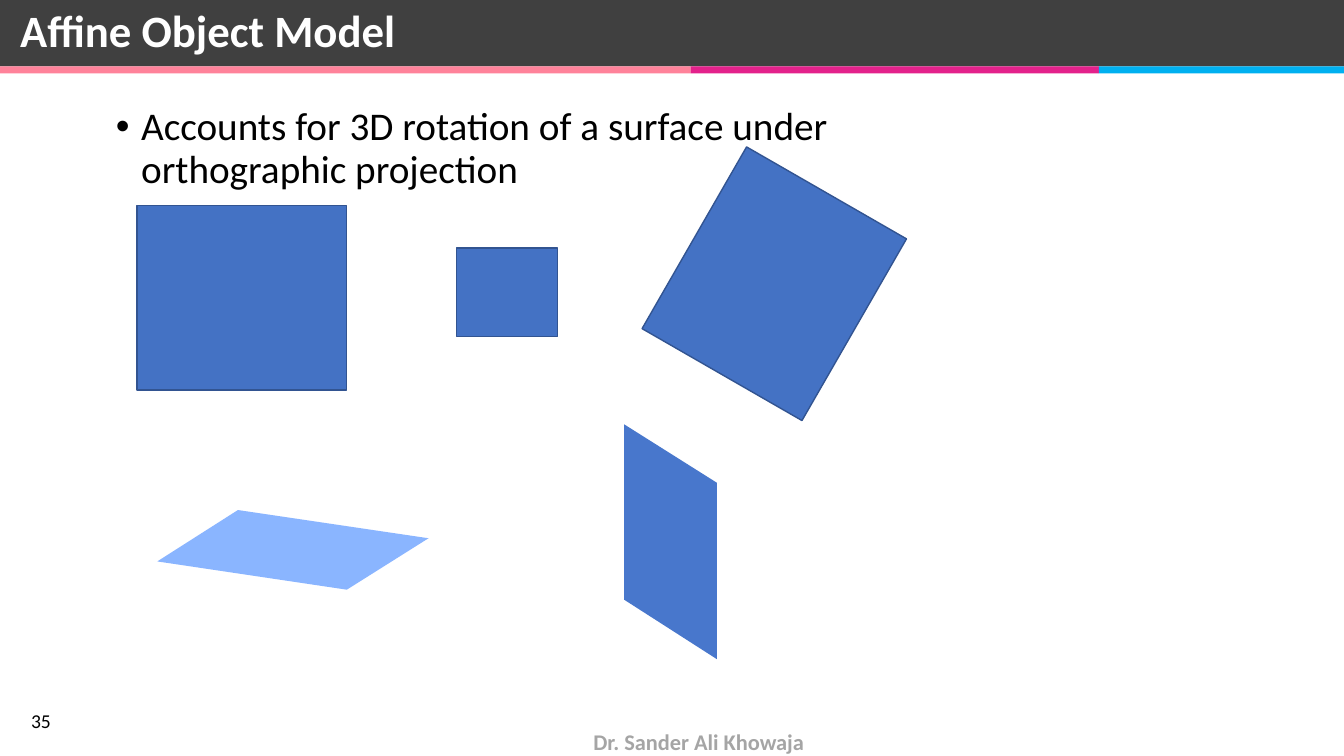
from lxml import etree
from pptx import Presentation
from pptx.dml.color import RGBColor
from pptx.enum.shapes import MSO_SHAPE
from pptx.enum.text import MSO_ANCHOR, MSO_AUTO_SIZE, PP_ALIGN
from pptx.oxml.ns import qn
from pptx.util import Inches, Pt

RECTANGLE = MSO_SHAPE.RECTANGLE
LEFT, CENTER = PP_ALIGN.LEFT, PP_ALIGN.CENTER
TOP, MIDDLE = MSO_ANCHOR.TOP, MSO_ANCHOR.MIDDLE
NO_AUTOFIT = MSO_AUTO_SIZE.NONE

TITLE = "Affine Object Model"
STATEMENT = "Accounts for 3D rotation of a surface under orthographic projection"
AUTHOR = "Dr. Sander Ali Khowaja"
PAGE_NUMBER = "35"

SLIDE_WIDTH, SLIDE_HEIGHT = 13.33, 7.5
HEADER_HEIGHT, STRIPE_HEIGHT = 0.66, 0.07
STRIPES = [(6.85, "FF829A"), (4.05, "E3218B"), (2.43, "00B0F0")]

SURFACE_FILL, SURFACE_LINE = "4472C4", "325491"
SURFACES = [
    (1.36, 2.04, 2.08, 1.83, 0),
    (6.64, 1.9, 2.08, 1.83, 299.9),
    (4.53, 2.46, 1, 0.88, 0),
]
TILTED_SURFACES = [
    ("8AB5FF", [(2.36, 5.06), (4.25, 5.34), (3.44, 5.85), (1.56, 5.57)]),
    ("4877CC", [(6.19, 4.21), (7.11, 4.79), (7.11, 6.54), (6.19, 5.95)]),
]


def color(value):
    return RGBColor.from_string(value)


def place(shape, left, top, width, height):
    shape.left, shape.top = Inches(left), Inches(top)
    shape.width, shape.height = Inches(width), Inches(height)


def paint(shape, fill, line=None):
    shape.shadow.inherit = False
    shape.fill.solid()
    shape.fill.fore_color.rgb = color(fill)
    if line:
        shape.line.color.rgb = color(line)
        shape.line.width = Pt(1)
    else:
        shape.line.fill.background()


def write(box, text, size, ink="000000", bold=False, align=LEFT, anchor=TOP,
          wrap=True, margin=0, indent=0, spacing=1.0, bullet=None):
    frame = box.text_frame
    frame.auto_size = NO_AUTOFIT
    frame.word_wrap = wrap
    frame.vertical_anchor = anchor
    para = frame.paragraphs[0]
    para.alignment = align
    para.line_spacing = spacing
    para.space_before = Pt(0)
    properties = para._p.get_or_add_pPr()
    properties.set("marL", str(Inches(margin)))
    properties.set("indent", str(Inches(indent)))
    if bullet:
        font = etree.SubElement(properties, qn("a:buFont"))
        font.set("typeface", "Arial")
        etree.SubElement(properties, qn("a:buChar")).set("char", bullet)
    span = para.add_run()
    span.text = text
    span.font.name = "Calibri"
    span.font.size = Pt(size)
    span.font.bold = bold
    span.font.color.rgb = color(ink)


def add_rectangle(page, left, top, width, height, fill, line=None):
    shape = page.shapes.add_shape(RECTANGLE, 0, 0, 0, 0)
    place(shape, left, top, width, height)
    paint(shape, fill, line)
    return shape


def add_label(page, left, top, width, height, text, size, **style):
    box = page.shapes.add_textbox(0, 0, 0, 0)
    place(box, left, top, width, height)
    write(box, text, size, **style)


def add_polygon(page, points, fill):
    corners = [(Inches(x), Inches(y)) for x, y in points]
    builder = page.shapes.build_freeform(*corners[0])
    builder.add_line_segments(corners[1:], close=True)
    paint(builder.convert_to_shape(), fill)


def main():
    deck = Presentation()
    deck.slide_width, deck.slide_height = Inches(SLIDE_WIDTH), Inches(SLIDE_HEIGHT)
    page = deck.slides.add_slide(deck.slide_layouts[1])

    title, body = page.placeholders
    place(title, 0, 0, SLIDE_WIDTH, HEADER_HEIGHT)
    title.fill.solid()
    title.fill.fore_color.rgb = color("404040")
    write(title, TITLE, 32, ink="FFFFFF", bold=True, anchor=MIDDLE,
          margin=0.1, spacing=0.9)
    place(body, 1.05, 1.01, 8.62, 5.12)
    write(body, STATEMENT, 28, margin=0.25, indent=-0.25, spacing=0.9, bullet="•")

    left = 0
    for width, fill in STRIPES:
        add_rectangle(page, left, HEADER_HEIGHT, width, STRIPE_HEIGHT, fill)
        left += width

    for *bounds, angle in SURFACES:
        surface = add_rectangle(page, *bounds, SURFACE_FILL, SURFACE_LINE)
        surface.rotation = angle
    for fill, points in TILTED_SURFACES:
        add_polygon(page, points, fill)

    add_label(page, 5.77, 7.17, 2.32, 0.37, AUTHOR, 16, ink="A5A5A5", bold=True,
              align=CENTER, wrap=False)
    add_label(page, 0.21, 6.98, 3, 0.4, PAGE_NUMBER, 14)
    deck.save("out.pptx")


if __name__ == "__main__":
    main()
